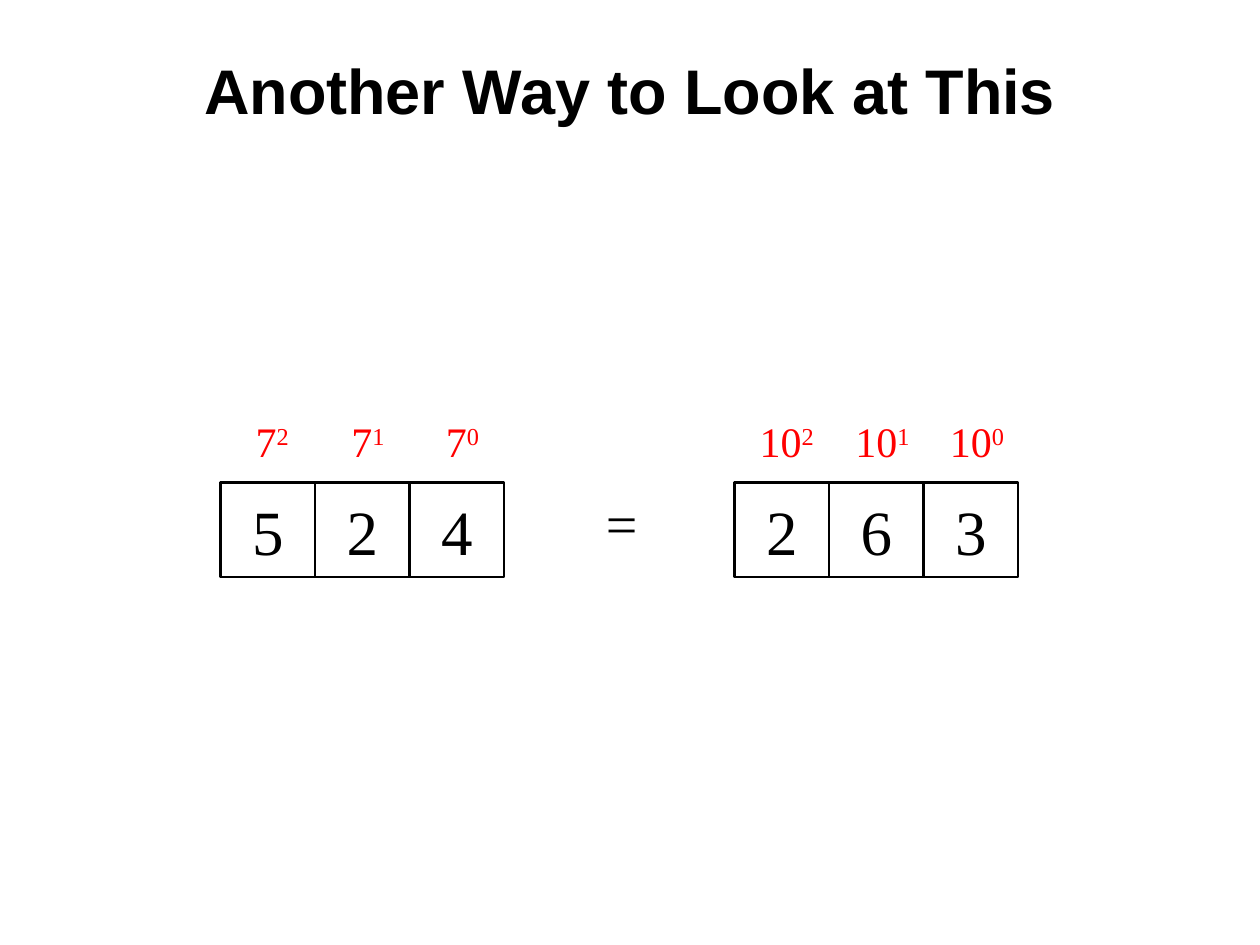
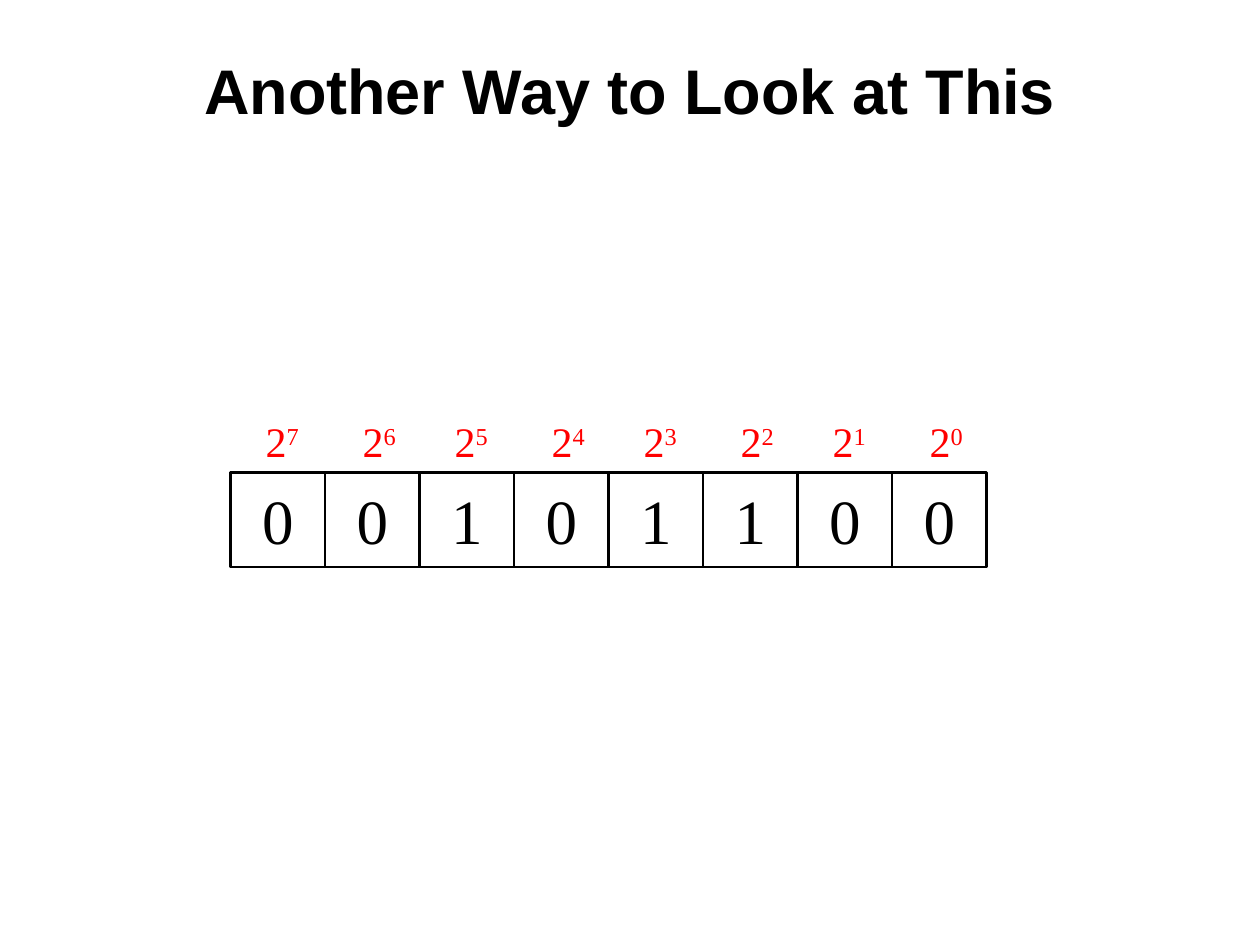
from itertools import cycle

from pptx import Presentation
from pptx.dml.color import RGBColor
from pptx.enum.shapes import MSO_SHAPE
from pptx.enum.text import MSO_ANCHOR as Anchor, MSO_AUTO_SIZE as AutoSize, PP_ALIGN as Align
from pptx.util import Inches, Pt

BLACK = RGBColor(0, 0, 0)
RED = RGBColor(255, 0, 0)
TITLE_FONT = "Arial"
BODY_FONT = "Times New Roman"
TITLE = "Another Way to Look at This"
CELL_SIZE = 0.75
LABEL_TOP = 3.25
LABEL_HEIGHT = 0.5


def add_run(paragraph, text, size, font=BODY_FONT, color=BLACK, bold=False, superscript=False):
    run = paragraph.add_run()
    run.text = text
    run.font.name = font
    run.font.size = Pt(size)
    run.font.bold = bold
    run.font.color.rgb = color
    if superscript:
        run.font._element.set("baseline", "30000")


class Deck:
    def __init__(self):
        self.presentation = Presentation()
        self.presentation.slide_width = Inches(10)
        self.presentation.slide_height = Inches(7.5)
        self.slide = None

    def start_slide(self, title):
        self.slide = self.presentation.slides.add_slide(self.presentation.slide_layouts[6])
        paragraph = self.text_box(0, 0.33, 10, 0.75, wrap=True, anchor=Anchor.MIDDLE)
        paragraph.alignment = Align.CENTER
        add_run(paragraph, title, 36, font=TITLE_FONT, bold=True)

    def text_box(self, left, top, width, height, wrap=False, anchor=Anchor.TOP):
        """Add an empty text box and return its first paragraph."""
        shape = self.slide.shapes.add_textbox(
            Inches(left), Inches(top), Inches(width), Inches(height))
        frame = shape.text_frame
        frame.word_wrap = wrap
        frame.auto_size = AutoSize.NONE if wrap else AutoSize.SHAPE_TO_FIT_TEXT
        frame.vertical_anchor = anchor
        return frame.paragraphs[0]

    def digit_cell(self, group, left, top, digit):
        shape = group.shapes.add_shape(
            MSO_SHAPE.RECTANGLE, Inches(left), Inches(top), Inches(CELL_SIZE), Inches(CELL_SIZE))
        shape.shadow.inherit = False
        shape.fill.background()
        shape.line.color.rgb = BLACK
        shape.line.width = Pt(1.5)
        shape.text_frame.vertical_anchor = Anchor.MIDDLE
        paragraph = shape.text_frame.paragraphs[0]
        paragraph.alignment = Align.CENTER
        add_run(paragraph, digit, 36)

    def place_value(self, left, width, base, exponent):
        paragraph = self.text_box(left, LABEL_TOP, width, LABEL_HEIGHT)
        add_run(paragraph, base, 24, color=RED)
        add_run(paragraph, exponent, 24, color=RED, superscript=True)

    def number(self, left, top, digits, base, label_width, label_offsets):
        """Draw a row of digits, each below its power of the base."""
        group = self.slide.shapes.add_group_shape()
        for index, (digit, offset) in enumerate(zip(digits, cycle(label_offsets))):
            cell_left = left + index * CELL_SIZE
            exponent = len(digits) - 1 - index
            self.digit_cell(group, cell_left, top, digit)
            self.place_value(cell_left + offset, label_width, base, str(exponent))

    def equals_sign(self, left, top):
        add_run(self.text_box(left, top, 0.45, 0.64), "=", 32)


def main():
    deck = Deck()

    deck.start_slide(TITLE)
    deck.number(1.75, 3.83, "524", "7", label_width=0.46, label_offsets=(0.18, 0.19, 0.19))
    deck.number(5.83, 3.83, "263", "10", label_width=0.63, label_offsets=(0.1, 0.11, 0.11))
    deck.equals_sign(4.71, 3.83)

    deck.start_slide(TITLE)
    deck.number(1.83, 3.75, "00101100", "2", label_width=0.46, label_offsets=(0.18, 0.2))

    deck.presentation.save("out.pptx")


if __name__ == "__main__":
    main()
